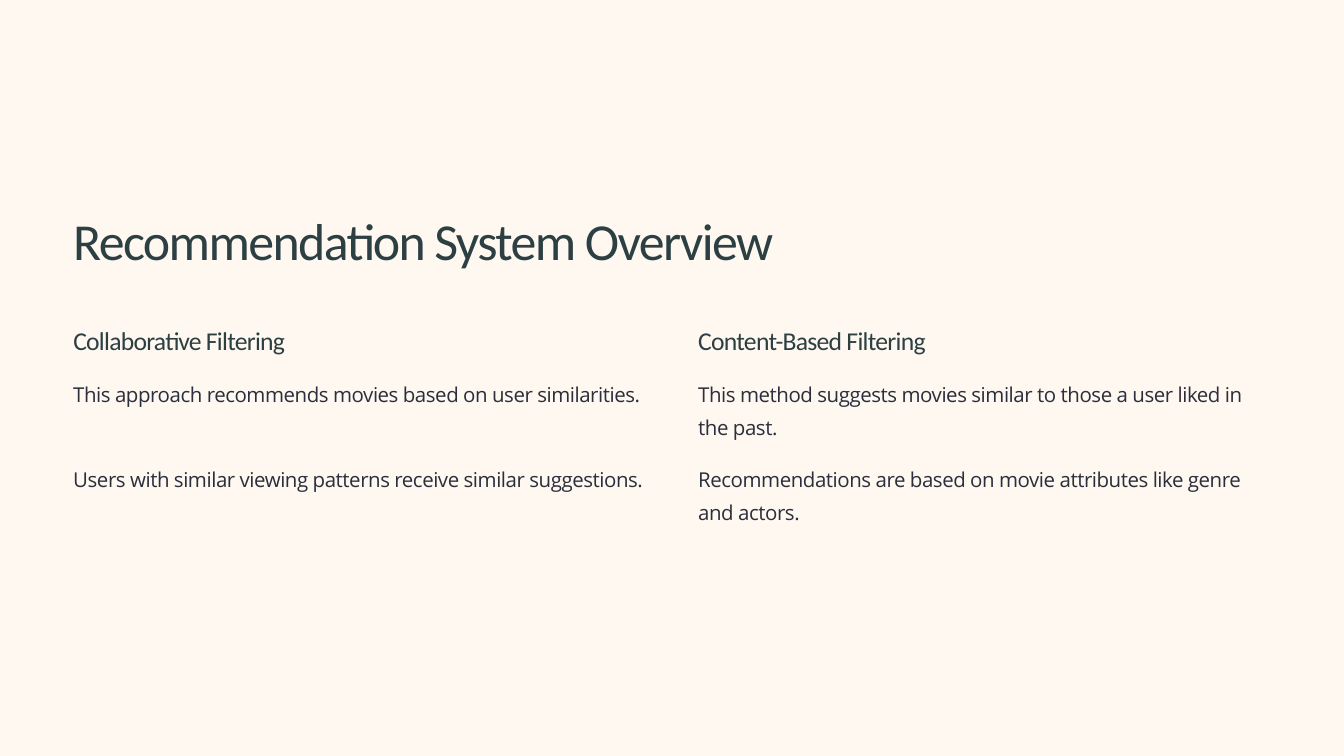
from dataclasses import dataclass

from pptx import Presentation
from pptx import util as u
from pptx.dml import color
from pptx.enum import shapes as s
from pptx.enum import text as t


@dataclass(frozen=True)
class Style:
    font: str
    size: float
    line: float
    tracking: float
    ink: str


@dataclass(frozen=True)
class Theme:
    background: str = "FFF8F0"
    title: Style = Style("Calibri", 55.6, 69.4, -1.7, "2C3F42")
    heading: Style = Style("Calibri", 27.5, 34.4, -0.8, "2C3F42")
    body: Style = Style("Open Sans", 21.9, 35.6, -0.5, "2B2E3C")


@dataclass(frozen=True)
class Method:
    heading: str
    heading_width: float
    heading_height: float
    points: tuple[str, ...]


THEME = Theme()
MARGIN, COLUMN_STEP, COLUMN_WIDTH = 1.09, 9.3, 8.54
TITLE_TOP, HEADING_TOP, POINTS_TOP, POINT_STEP = 3.07, 4.81, 5.55, 1.27

METHODS = (
    Method("Collaborative Filtering", 3.88, 0.6, (
        "This approach recommends movies based on user similarities.",
        "Users with similar viewing patterns receive similar suggestions.",
    )),
    Method("Content-Based Filtering", 4.07, 0.5, (
        "This method suggests movies similar to those a user liked in the past.",
        "Recommendations are based on movie attributes like genre and actors.",
    )),
)


def add_text(slide, words: str, *, left: float, top: float, width: float,
             height: float, style: Style) -> None:
    box = slide.shapes.add_textbox(
        u.Inches(left), u.Inches(top), u.Inches(width), u.Inches(height))
    frame = box.text_frame
    frame.word_wrap = True
    frame.vertical_anchor = t.MSO_ANCHOR.TOP
    frame.margin_left = frame.margin_right = 0
    frame.margin_top = frame.margin_bottom = 0
    paragraph = frame.paragraphs[0]
    paragraph.line_spacing = u.Pt(style.line)
    run = paragraph.add_run()
    run.text = words
    run.font.name = style.font
    run.font.size = u.Pt(style.size)
    run.font.color.rgb = color.RGBColor.from_string(style.ink)
    # Letter spacing is stored in hundredths of a point
    run._r.get_or_add_rPr().set("spc", str(round(style.tracking * 100)))


def add_method(slide, method: Method, left: float) -> None:
    add_text(slide, method.heading, left=left, top=HEADING_TOP,
             width=method.heading_width, height=method.heading_height,
             style=THEME.heading)
    for row, point in enumerate(method.points):
        add_text(slide, point, left=left, top=POINTS_TOP + row * POINT_STEP,
                 width=COLUMN_WIDTH, height=1.06, style=THEME.body)


def main() -> None:
    deck = Presentation()
    deck.slide_width, deck.slide_height = u.Inches(20), u.Inches(11.25)
    slide = deck.slides.add_slide(deck.slide_layouts[6])

    # Full-page panel
    page = slide.shapes.add_shape(s.MSO_SHAPE.RECTANGLE, 0, 0,
                                  deck.slide_width, deck.slide_height)
    page.shadow.inherit = False
    page.fill.solid()
    page.fill.fore_color.rgb = color.RGBColor.from_string(THEME.background)
    page.line.fill.background()

    # Title
    add_text(slide, "Recommendation System Overview", left=MARGIN,
             top=TITLE_TOP, width=12.17, height=0.98, style=THEME.title)

    # One column per filtering method
    for column, method in enumerate(METHODS):
        add_method(slide, method, MARGIN + column * COLUMN_STEP)

    deck.save("out.pptx")


if __name__ == "__main__":
    main()
